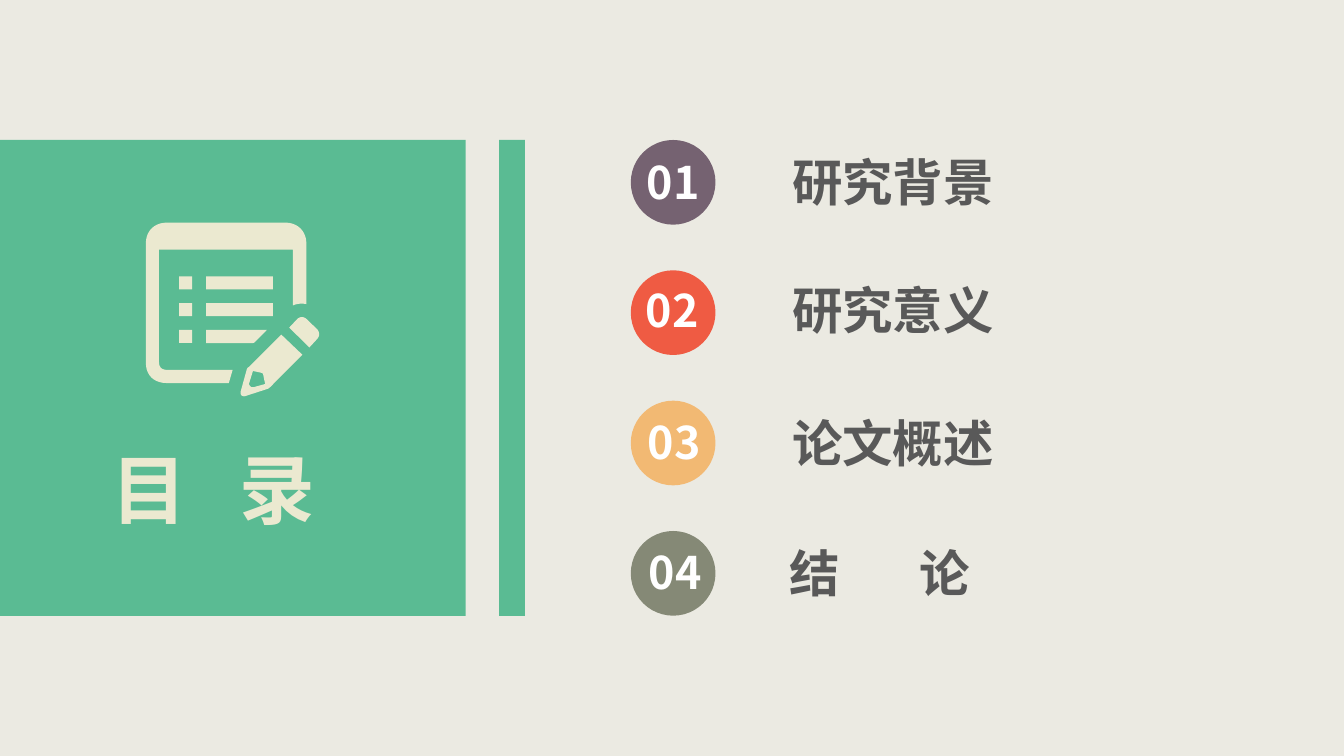
from dataclasses import dataclass

from lxml import etree
from pptx import Presentation
from pptx import util as u
from pptx.dml.color import RGBColor
from pptx.enum import shapes, text
from pptx.oxml.ns import qn

FONT = "Noto Sans CJK SC"
COLORS = {
    "background": "EBEAE2",
    "green": "5ABB93",
    "cream": "EBE9D0",
    "gray": "595959",
    "white": "FFFFFF",
    "plum": "756271",
    "red": "EF5B43",
    "amber": "F2B973",
    "olive": "858976",
}


@dataclass(frozen=True)
class Label:
    text: str
    left: float
    top: float
    width: float
    height: float
    size: float
    color: str
    centered: bool = False
    tab: float = 0


@dataclass(frozen=True)
class Entry:
    color: str
    number: Label
    title: Label


def number_label(number: str, left: float, top: float) -> Label:
    return Label(number, left, top, 57.6, 46, 32, "white", centered=True)


def title_label(title: str, top: float, left: float = 558.7, tab: float = 0) -> Label:
    return Label(title, left, top, 160, 51, 36, "gray", tab=tab)


ENTRIES = [
    Entry("plum", number_label("01", 452.2, 107.3), title_label("研究背景", 104.4)),
    Entry("red", number_label("02", 451.4, 198.7), title_label("研究意义", 195.8)),
    Entry("amber", number_label("03", 452.9, 293), title_label("论文概述", 290.9)),
    Entry("olive", number_label("04", 453.6, 385.2),
          title_label("结\t论", 383.8, left=556.6, tab=93)),
]
HEADING = Label("目\t录", 72.7, 312.5, 173, 73, 54, "cream", tab=91)

CIRCLE_LEFT, CIRCLE_TOP, CIRCLE_SIZE, CIRCLE_PITCH = 450.6, 100, 60.5, 93.1
LIST_TOP, LIST_PITCH, LIST_HEIGHT = 197.4, 19.1, 9.4
BULLET_LEFT, LINE_LEFT, LINE_WIDTH = 127.9, 147.3, 47.7

# Contours hold points (x, y) or cubic curves (x1, y1, x2, y2, x, y).
Contour = list[tuple[float, ...]]
PAGE_FRAME: Contour = [
    (166.2, 264.2), (163.5, 273.6), (119, 273.6),
    (110, 273.6, 104.2, 268, 104.2, 259), (104.2, 174),
    (104.2, 165, 110.2, 159, 119.5, 159), (203.8, 159),
    (212.5, 159, 218.9, 165, 218.9, 174), (218.9, 217.2),
    (216, 216.7, 212.4, 216.7, 209.3, 218.2), (209.3, 178.3),
    (113.6, 178.3), (113.6, 258.5), (113.6, 262, 115.2, 264.2, 119.5, 264.2),
]
SHORT_LINE: Contour = [
    (147.3, 235.7), (190.6, 235.7), (182.2, 244.3),
    (181.4, 245, 180.7, 245.1, 180, 245.1), (147.3, 245.1),
]
PENCIL_BODY: Contour = [
    (200.9, 239), (216, 253.4), (193, 276.5),
    (192, 277.4, 191.5, 277.7, 190.8, 277.9), (175, 283),
    (172.8, 283.4, 171.4, 282, 172, 279.4), (176.4, 263.5),
    (176.8, 262.8, 177.2, 262.4, 177.8, 262.1),
]
PENCIL_TIP: Contour = [
    (180.7, 265), (177.8, 274.3), (178.5, 276, 179.5, 277, 181.4, 276.5),
    (189.4, 274.3), (187.9, 267.1), (187.2, 266.4),
]
PENCIL_END: Contour = [
    (206.6, 234), (212.4, 227.8), (214.6, 226, 216.7, 226, 218.9, 227.8),
    (226.8, 235.4), (228.4, 237.6, 228.4, 239.8, 226.8, 241.9), (221, 248.2),
]
ICON_OUTLINES = [[PAGE_FRAME], [SHORT_LINE], [PENCIL_BODY, PENCIL_TIP], [PENCIL_END]]


def rgb(name: str) -> RGBColor:
    return RGBColor.from_string(COLORS[name])


def paint(shape, color: str) -> None:
    shape.shadow.inherit = False
    shape.fill.solid()
    shape.fill.fore_color.rgb = rgb(color)
    shape.line.fill.background()


def add_preset(slide, kind, left: float, top: float, width: float, height: float,
               color: str) -> None:
    shape = slide.shapes.add_shape(kind, u.Pt(left), u.Pt(top), u.Pt(width), u.Pt(height))
    paint(shape, color)


def flatten(contour: Contour, steps: int = 10) -> list[tuple[int, int]]:
    """Turn the curves of a contour into short line segments."""
    points: list[tuple[float, float]] = []
    for item in contour:
        if len(item) == 2:
            points.append(item)
            continue
        x0, y0 = points[-1]
        x1, y1, x2, y2, x3, y3 = item
        for step in range(1, steps + 1):
            t = step / steps
            a, b, c, d = (1 - t) ** 3, 3 * t * (1 - t) ** 2, 3 * t * t * (1 - t), t ** 3
            points.append((a * x0 + b * x1 + c * x2 + d * x3,
                           a * y0 + b * y1 + c * y2 + d * y3))
    return [(u.Pt(x), u.Pt(y)) for x, y in points]


def add_outline(slide, contours: list[Contour], color: str) -> None:
    first, *holes = [flatten(contour) for contour in contours]
    builder = slide.shapes.build_freeform(*first[0])
    builder.add_line_segments(first[1:], close=True)
    for hole in holes:
        builder.move_to(*hole[0])
        builder.add_line_segments(hole[1:], close=True)
    paint(builder.convert_to_shape(), color)


def add_label(slide, label: Label) -> None:
    shape = slide.shapes.add_textbox(u.Pt(label.left), u.Pt(label.top),
                                     u.Pt(label.width), u.Pt(label.height))
    frame = shape.text_frame
    frame.word_wrap = True
    frame.text = label.text
    paragraph = frame.paragraphs[0]
    if label.centered:
        paragraph.alignment = text.PP_ALIGN.CENTER
    if label.tab:
        tabs = etree.SubElement(paragraph._p.get_or_add_pPr(), qn("a:tabLst"))
        etree.SubElement(tabs, qn("a:tab"), pos=str(u.Pt(label.tab)), algn="l")
    for run in paragraph.runs:
        run.font.size = u.Pt(label.size)
        run.font.bold = True
        run.font.color.rgb = rgb(label.color)
        run.font.name = FONT
        etree.SubElement(run._r.get_or_add_rPr(), qn("a:ea"), typeface=FONT)


def add_icon(slide) -> None:
    """Draw the checklist page with its pencil."""
    rectangle = shapes.MSO_SHAPE.RECTANGLE
    for outline in ICON_OUTLINES:
        add_outline(slide, outline, "cream")
    for row in range(3):
        top = LIST_TOP + row * LIST_PITCH
        add_preset(slide, rectangle, BULLET_LEFT, top, LIST_HEIGHT, LIST_HEIGHT, "cream")
        if row < 2:
            add_preset(slide, rectangle, LINE_LEFT, top, LINE_WIDTH, LIST_HEIGHT, "cream")


def main() -> None:
    presentation = Presentation()
    presentation.slide_width, presentation.slide_height = u.Pt(960), u.Pt(540)
    slide = presentation.slides.add_slide(presentation.slide_layouts[6])
    slide.background.fill.solid()
    slide.background.fill.fore_color.rgb = rgb("background")

    for left, width in ((0, 332.6), (356.6, 18.3)):
        add_preset(slide, shapes.MSO_SHAPE.RECTANGLE, left, 100, width, 340, "green")
    add_icon(slide)
    add_label(slide, HEADING)
    for row, entry in enumerate(ENTRIES):
        add_preset(slide, shapes.MSO_SHAPE.OVAL, CIRCLE_LEFT, CIRCLE_TOP + row * CIRCLE_PITCH,
                   CIRCLE_SIZE, CIRCLE_SIZE, entry.color)
        add_label(slide, entry.number)
        add_label(slide, entry.title)
    presentation.save("out.pptx")


if __name__ == "__main__":
    main()
